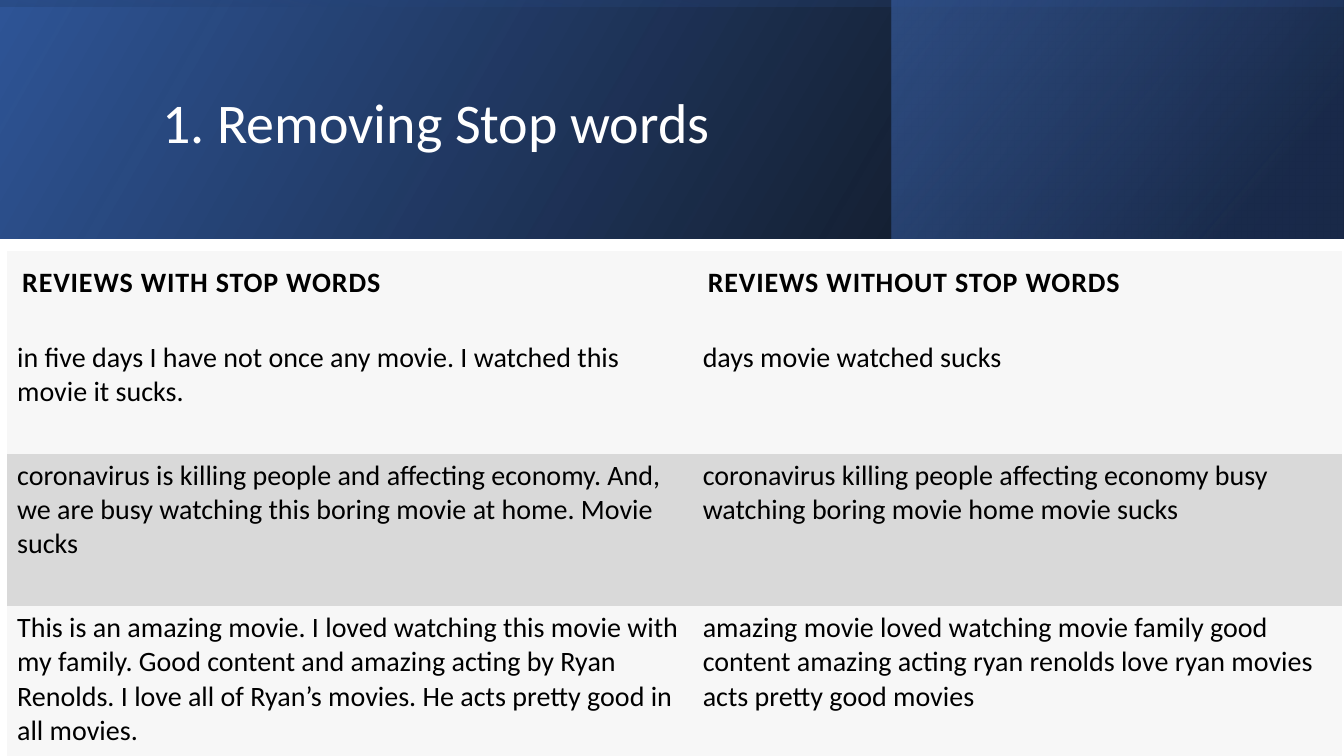
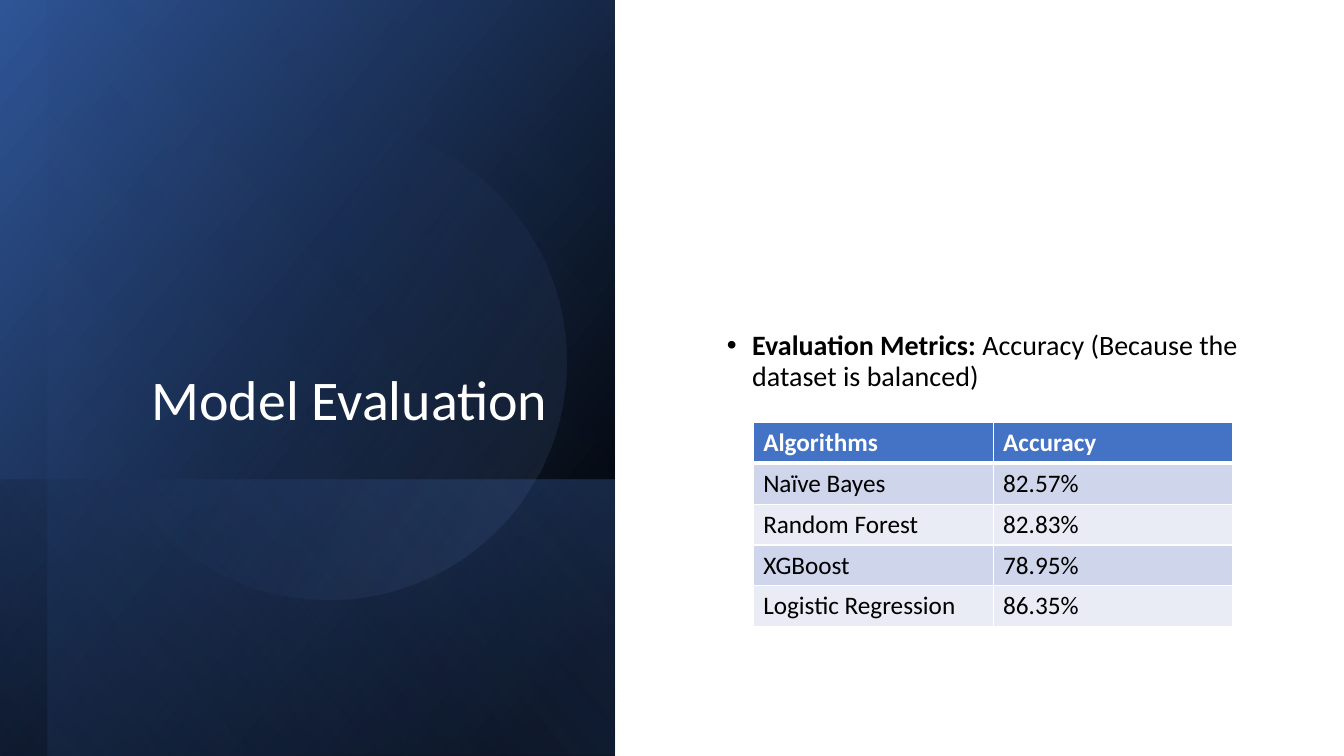
from lxml.etree import SubElement
from pptx import Presentation
from pptx.dml.color import RGBColor
from pptx.enum.shapes import MSO_SHAPE as Preset
from pptx.enum.text import MSO_ANCHOR as Anchor, PP_ALIGN as Align
from pptx.oxml.ns import qn
from pptx.util import Inches, Pt

BLACK = RGBColor(0x00, 0x00, 0x00)
WHITE = RGBColor(0xFF, 0xFF, 0xFF)
NAVY = RGBColor(0x20, 0x38, 0x64)
DARK_BLUE = RGBColor(0x2F, 0x55, 0x97)
BLUE = RGBColor(0x44, 0x72, 0xC4)
LIGHT_BLUE = RGBColor(0x8F, 0xAA, 0xDC)
BLUE_BANDS = RGBColor(0xCF, 0xD5, 0xEA), RGBColor(0xE9, 0xEB, 0xF5)
GRAY_BANDS = RGBColor(0xF7, 0xF7, 0xF7), RGBColor(0xD9, 0xD9, 0xD9)

FONT = "Calibri"
NO_TABLE_STYLE = "{2D5ABB26-0587-4C30-8999-92F81FD0307C}"
TITLE_ONLY, TITLE_AND_CONTENT = 5, 1


class Deck:
    """Holds the shared style and the slide being built."""

    def __init__(self):
        self.presentation = Presentation()
        self.presentation.slide_width = Inches(13.33)
        self.presentation.slide_height = Inches(7.5)
        self.slide = None

    def add_slide(self, layout):
        layouts = self.presentation.slide_layouts
        self.slide = self.presentation.slides.add_slide(layouts[layout])

    def style(self, paragraph, size, color, bold=False):
        font = paragraph.font
        font.name, font.size, font.bold = FONT, Pt(size), bold
        font.color.rgb = color

    def gradient(self, box, stops, angle, rotation=0, preset=Preset.RECTANGLE, flip=True):
        """Stops are (position, color, opacity) in percent; angle runs clockwise."""
        shape = self.slide.shapes.add_shape(preset, *map(Inches, box))
        shape.shadow.inherit = False
        shape.line.fill.background()
        shape.rotation = rotation
        properties = shape._element.spPr
        if flip:
            properties.find(qn("a:xfrm")).set("flipH", "1")
        shape.fill.gradient()
        shape.fill.gradient_angle = 360 - angle
        for stop, (position, color, _) in zip(shape.fill.gradient_stops, stops):
            stop.position = position / 100
            stop.color.rgb = color
        colors = properties.find(qn("a:gradFill")).iter(qn("a:srgbClr"))
        for element, (_, _, opacity) in zip(list(colors), stops):
            SubElement(element, qn("a:alpha"), val=str(opacity * 1000))

    def place(self, placeholder, box, anchor):
        """Move a placeholder, bring it to the front and return its first paragraph."""
        left, top, width, height = map(Inches, box)
        placeholder.left, placeholder.top = left, top
        placeholder.width, placeholder.height = width, height
        self.slide.shapes._spTree.append(placeholder._element)
        frame = placeholder.text_frame
        frame.word_wrap = True
        frame.vertical_anchor = anchor
        paragraph = frame.paragraphs[0]
        paragraph.line_spacing = 0.9
        paragraph.space_before = Pt(0)
        return paragraph

    def title(self, text, box, anchor=Anchor.MIDDLE, align=Align.LEFT):
        paragraph = self.place(self.slide.shapes.title, box, anchor)
        paragraph.text = text
        paragraph.alignment = align
        self.style(paragraph, 40, WHITE)

    def bullet(self, label, text, box):
        paragraph = self.place(self.slide.placeholders[1], box, Anchor.MIDDLE)
        properties = paragraph._p.get_or_add_pPr()
        properties.set("marL", str(Inches(0.25)))
        properties.set("indent", str(-Inches(0.25)))
        SubElement(properties, qn("a:buChar"), char="•")
        self.style(paragraph, 20, BLACK)
        for words, bold in ((label, True), (text, False)):
            run = paragraph.add_run()
            run.text = words
            run.font.bold = bold

    def table(self, rows, position, widths, heights):
        """Add an unstyled table and return its rows as lists of cells."""
        frame = self.slide.shapes.add_table(
            len(rows), len(widths), *map(Inches, position),
            Inches(sum(widths)), Inches(sum(heights)))
        table = frame.table
        table._tbl.tblPr.find(qn("a:tableStyleId")).text = NO_TABLE_STYLE
        for column, width in zip(table.columns, widths):
            column.width = Inches(width)
        for row, height, texts in zip(table.rows, heights, rows):
            row.height = Inches(height)
            for cell, text in zip(row.cells, texts):
                cell.text = text
        return [list(row.cells) for row in table.rows]

    def format_cell(self, cell, fill, size, color=BLACK, bold=False):
        cell.fill.solid()
        cell.fill.fore_color.rgb = fill
        self.style(cell.text_frame.paragraphs[0], size, color, bold)

    def white_borders(self, cell, bottom):
        """Rule a cell in white; call it before the cell is filled."""
        properties = cell._tc.get_or_add_tcPr()
        for side, width in (("L", 1), ("R", 1), ("T", 1), ("B", bottom)):
            line = SubElement(properties, qn(f"a:ln{side}"), w=str(Pt(width)))
            fill = SubElement(line, qn("a:solidFill"))
            SubElement(fill, qn("a:srgbClr"), val=str(WHITE))

    def review_table(self, rows, position, widths, heights):
        for index, cells in enumerate(self.table(rows, position, widths, heights)):
            header = index == 0
            for cell in cells:
                side, top, bottom = (0.15, 0.15, 0.15) if header else (0.1, 0.05, 0.1)
                cell.margin_left = cell.margin_right = Inches(side)
                cell.margin_top, cell.margin_bottom = Inches(top), Inches(bottom)
                band = GRAY_BANDS[0 if header else (index - 1) % 2]
                self.format_cell(cell, band, 20, bold=header)
                if header:
                    run = cell.text_frame.paragraphs[0].runs[0]
                    run._r.get_or_add_rPr().set("spc", "60")

    def score_table(self, rows, position, widths, heights):
        for index, cells in enumerate(self.table(rows, position, widths, heights)):
            for cell in cells:
                if index == 0:
                    self.white_borders(cell, bottom=3)
                    self.format_cell(cell, BLUE, 18, WHITE, bold=True)
                else:
                    self.white_borders(cell, bottom=1)
                    self.format_cell(cell, BLUE_BANDS[(index - 1) % 2], 18)


def build_stop_words(deck):
    deck.add_slide(TITLE_ONLY)
    deck.gradient((0, 0, 13.33, 2.37), [(0, BLACK, 96), (100, DARK_BLUE, 100)], 330)
    deck.gradient((8.84, 0, 4.48, 2.37), [(19, NAVY, 68), (100, BLUE, 48)], 320)
    deck.gradient((5.48, -5.48, 2.37, 13.33),
                  [(23, DARK_BLUE, 16), (99, BLACK, 45)], 350, rotation=270)
    deck.title("1. Removing Stop words", (1.51, 0.38, 10.63, 1.72))
    reviews = [
        ("REVIEWS WITH STOP WORDS", "REVIEWS WITHOUT STOP WORDS"),
        ("in five days I have not once any movie. I watched this movie it sucks.",
         "days movie watched sucks"),
        ("coronavirus is killing people and affecting economy. And, we are busy "
         "watching this boring movie at home. Movie sucks",
         "coronavirus killing people affecting economy busy watching boring movie "
         "home movie sucks"),
        ("This is an amazing movie. I loved watching this movie with my family. "
         "Good content and amazing acting by Ryan Renolds. I love all of Ryan’s "
         "movies. He acts pretty good in all movies.",
         "amazing movie loved watching movie family good content amazing acting "
         "ryan renolds love ryan movies acts pretty good movies"),
    ]
    deck.review_table(reviews, (0.07, 2.49), (6.8, 6.44), (0.84, 1.17, 1.51, 1.49))


def build_evaluation(deck):
    deck.add_slide(TITLE_AND_CONTENT)
    deck.gradient((-0.7, 0.7, 7.5, 6.1),
                  [(8, BLACK, 100), (100, DARK_BLUE, 100)], 50, rotation=90)
    deck.gradient((1.67, 3.08, 2.74, 6.1),
                  [(2, BLUE, 29), (100, BLACK, 30)], 130, rotation=90)
    deck.gradient((-0.46, 0.93, 7.5, 5.63),
                  [(0, BLACK, 0), (99, BLUE, 11)], 130, rotation=90)
    deck.gradient((0.9, 1.23, 4.72, 4.72), [(39, BLUE, 0), (100, LIGHT_BLUE, 15)], 290,
                  rotation=101.6, preset=Preset.OVAL, flip=False)
    deck.title("Model Evaluation", (0.9, 0.64, 4.63, 3.7), Anchor.BOTTOM, Align.RIGHT)
    deck.bullet("Evaluation Metrics: ", "Accuracy (Because the dataset is balanced)",
                (7.11, 0.71, 5.32, 5.76))
    scores = [
        ("Algorithms", "Accuracy"),
        ("Naïve Bayes", "82.57%"),
        ("Random Forest", "82.83%"),
        ("XGBoost", "78.95%"),
        ("Logistic Regression", "86.35%"),
    ]
    deck.score_table(scores, (7.47, 4.19), (2.38, 2.38), [0.4] * len(scores))


def main():
    deck = Deck()
    build_stop_words(deck)
    build_evaluation(deck)
    deck.presentation.save("out.pptx")


if __name__ == "__main__":
    main()
